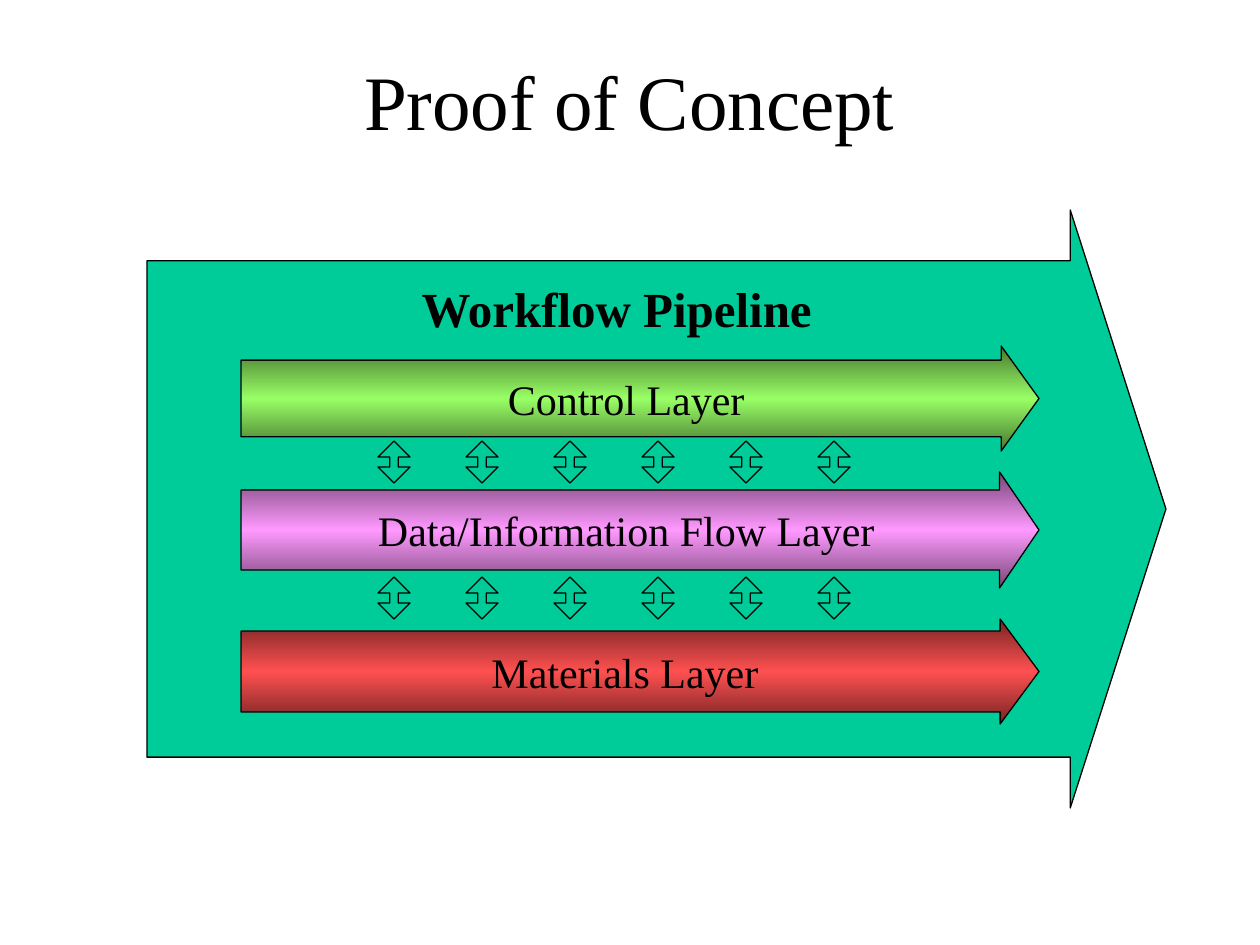
"""Build the Proof of Concept slide: a workflow pipeline holding three linked layers."""
from copy import deepcopy
from dataclasses import dataclass

from pptx import Presentation
from pptx.dml.color import RGBColor
from pptx.enum.shapes import MSO_SHAPE
from pptx.enum.text import MSO_ANCHOR, PP_ALIGN
from pptx.util import Emu, Pt

RIGHT_ARROW = MSO_SHAPE.RIGHT_ARROW
UP_DOWN_ARROW = MSO_SHAPE.UP_DOWN_ARROW
MIDDLE = MSO_ANCHOR.MIDDLE
TOP = MSO_ANCHOR.TOP
CENTER = PP_ALIGN.CENTER

SCALE = 914400 / 126
FONT = "Times New Roman"
COLORS = {
    "black": "000000",
    "pipeline": "00CC99",
    "control": "99FF66",
    "control edge": "46752F",
    "data": "FF99FF",
    "data edge": "754675",
    "materials": "FF5050",
    "materials edge": "752424",
}
LINK_COUNT = 6
LINK_LEFT = 378
LINK_PITCH = 88
LINK_TOPS = (441, 577)


@dataclass(frozen=True)
class Box:
    left: int
    top: int
    width: int
    height: int

    def emu(self) -> tuple[Emu, ...]:
        sides = (self.left, self.top, self.width, self.height)
        return tuple(px(side) for side in sides)


@dataclass(frozen=True)
class Layer:
    label: str
    color: str
    box: Box
    adjustments: tuple[float, float]


TITLE_BOX = Box(94, 21, 1071, 158)
PIPELINE_BOX = Box(147, 210, 1019, 598)
LAYERS = (
    Layer("Control Layer", "control", Box(241, 346, 798, 105), (0.73, 0.36)),
    Layer("Data/Information Flow Layer", "data", Box(241, 472, 798, 116), (0.69, 0.34)),
    Layer("Materials Layer", "materials", Box(241, 619, 798, 105), (0.77, 0.37)),
)


def px(length: int) -> Emu:
    return Emu(round(length * SCALE))


def rgb(name: str) -> RGBColor:
    return RGBColor.from_string(COLORS[name])


def write(frame, text: str, size: int, bold: bool = False) -> None:
    para = frame.paragraphs[0]
    para.alignment = CENTER
    span = para.add_run()
    span.text = text
    span.font.name = FONT
    span.font.size = Pt(size)
    span.font.bold = bold
    span.font.color.rgb = rgb("black")


def add_arrow(page, kind, box: Box, adjustments: tuple[float, float]):
    arrow = page.shapes.add_shape(kind, *box.emu())
    arrow.shadow.inherit = False
    for index, value in enumerate(adjustments):
        arrow.adjustments[index] = value
    arrow.fill.solid()
    arrow.fill.fore_color.rgb = rgb("pipeline")
    arrow.line.color.rgb = rgb("black")
    arrow.line.width = Pt(0.75)
    arrow.text_frame.word_wrap = False
    arrow.text_frame.vertical_anchor = MIDDLE
    return arrow


def fill_band(fill, center: str, edge: str) -> None:
    fill.gradient()
    fill.gradient_angle = 270
    stop_list = fill._fill._gradFill.gsLst
    stop_list.append(deepcopy(stop_list[-1]))
    for index, color in enumerate((edge, center, edge)):
        stop = fill.gradient_stops[index]
        stop.position = index / 2
        stop.color.rgb = rgb(color)


def add_title(page) -> None:
    title = page.shapes.title
    title.left, title.top, title.width, title.height = TITLE_BOX.emu()
    title.text_frame.vertical_anchor = MIDDLE
    write(title.text_frame, "Proof of Concept", 44)


def add_pipeline(page) -> None:
    frame = add_arrow(page, RIGHT_ARROW, PIPELINE_BOX, (0.83, 0.16)).text_frame
    frame.vertical_anchor = TOP
    frame.margin_top = px(18)
    write(frame, "Workflow Pipeline", 28, bold=True)


def add_layer(page, layer: Layer) -> None:
    arrow = add_arrow(page, RIGHT_ARROW, layer.box, layer.adjustments)
    fill_band(arrow.fill, layer.color, f"{layer.color} edge")
    write(arrow.text_frame, layer.label, 24)


def add_links(page, top: int) -> None:
    for index in range(LINK_COUNT):
        box = Box(LINK_LEFT + index * LINK_PITCH, top, 32, 42)
        add_arrow(page, UP_DOWN_ARROW, box, (0.5, 0.27))


def main() -> None:
    deck = Presentation()
    deck.slide_width, deck.slide_height = px(1260), px(945)
    page = deck.slides.add_slide(deck.slide_layouts[5])
    add_title(page)
    add_pipeline(page)
    for layer in LAYERS:
        add_layer(page, layer)
    for top in LINK_TOPS:
        add_links(page, top)
    deck.save("out.pptx")


if __name__ == "__main__":
    main()
